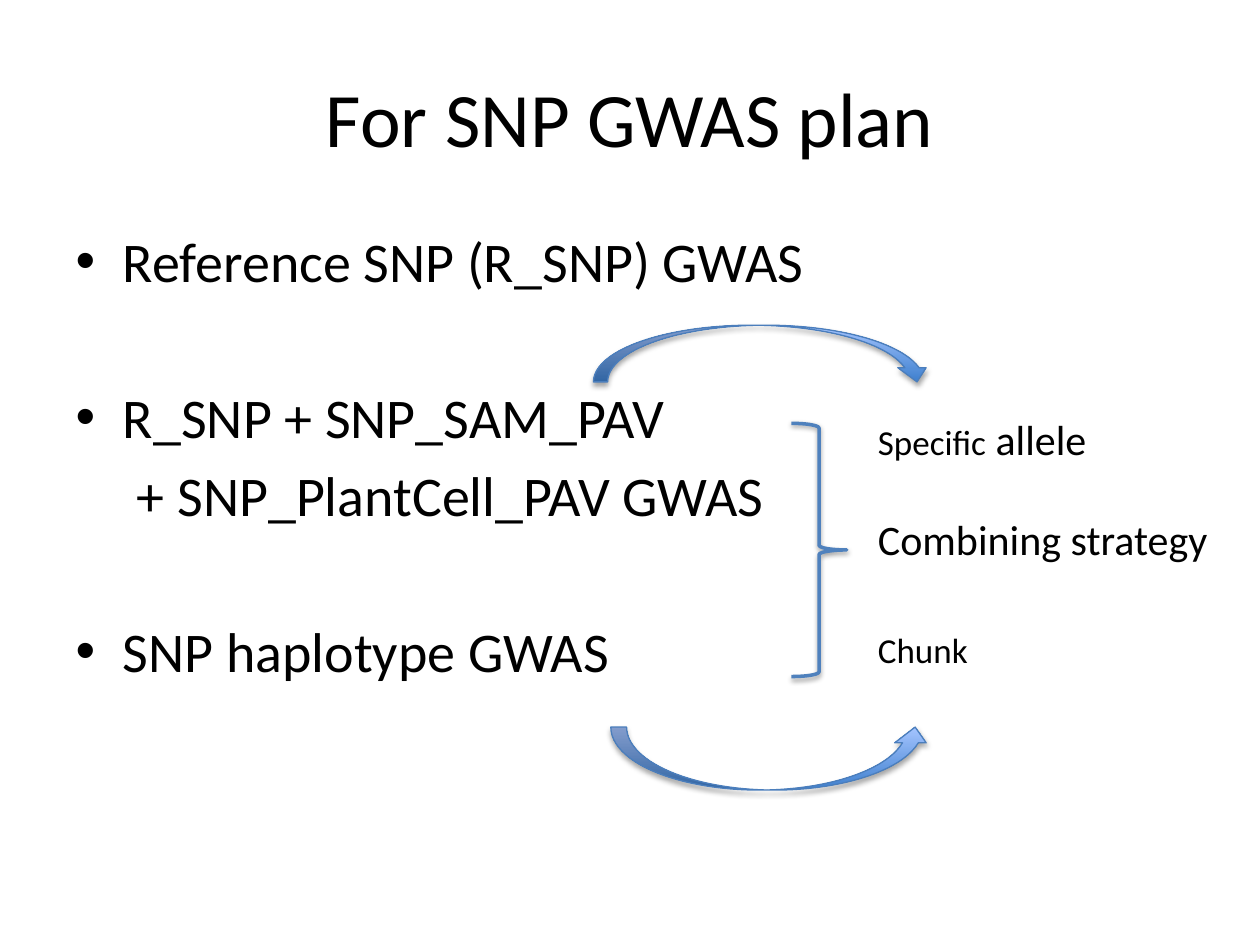
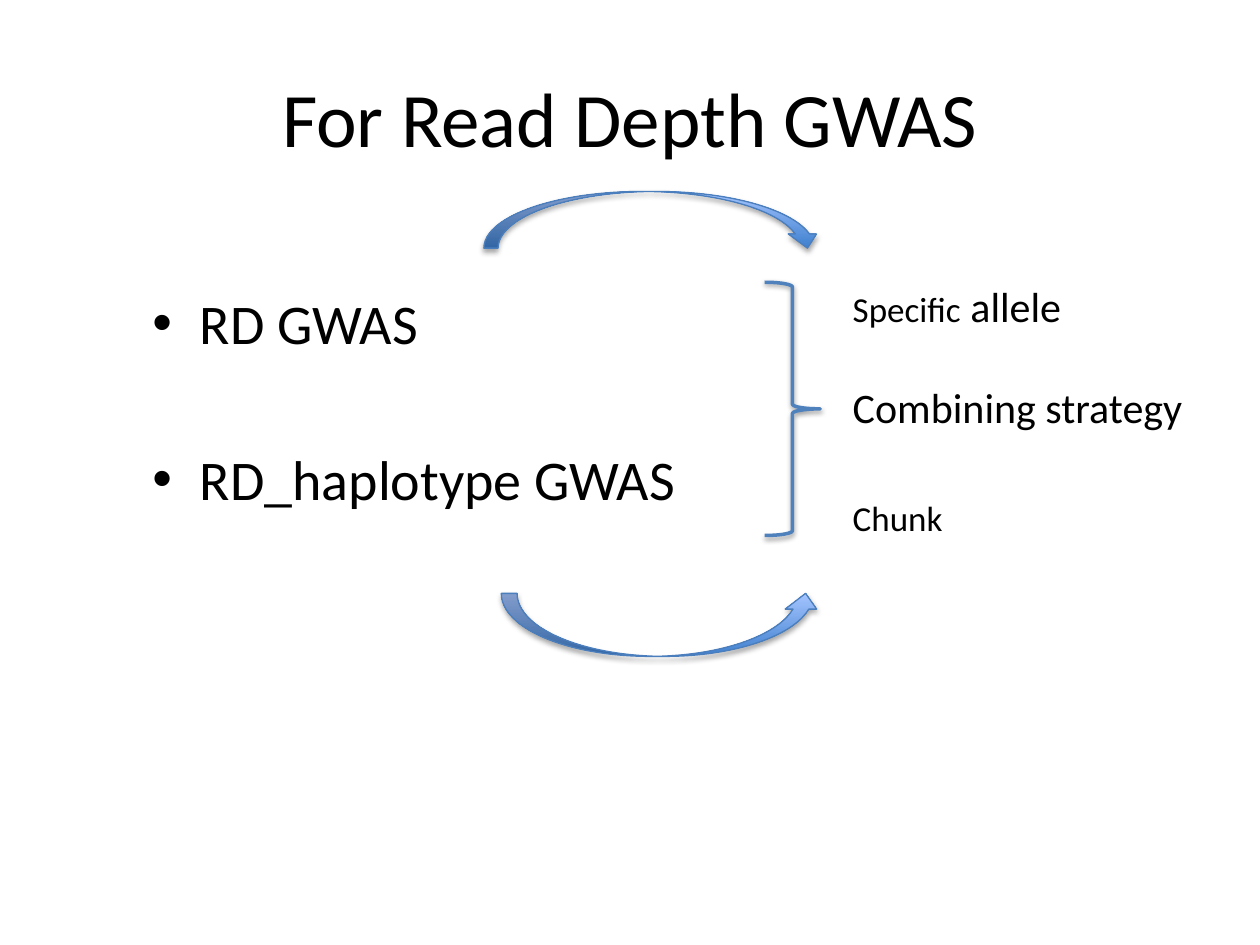
from lxml.etree import SubElement
from pptx import Presentation
from pptx.dml.color import RGBColor
from pptx.enum.shapes import MSO_SHAPE as Preset
from pptx.enum.text import MSO_ANCHOR as Anchor, PP_ALIGN as Align
from pptx.oxml.ns import qn
from pptx.util import Pt

COLORS = {
    "text": "000000",
    "brace": "4F81BD",
    "arrow_edge": "4B7EBC",
    "arrow_dark": "3F80CE",
    "arrow_light": "A4C4FF",
    "shadow": "000000",
}
FONT = "Calibri"
BULLET_INDENT = 27
GAP_BEFORE = 50.6  # space before a bullet that starts a new group


def color(name):
    return RGBColor.from_string(COLORS[name])


class Painter:
    """Holds the shared style and the slide being filled."""

    def __init__(self, deck):
        self.deck = deck
        self.page = None

    def start(self, title):
        self.page = self.deck.slides.add_slide(self.deck.slide_layouts[1])
        box = self.page.shapes.title
        self.place(box, 36, 21.6, 648, 90)
        box.text_frame.vertical_anchor = Anchor.MIDDLE
        para = box.text_frame.paragraphs[0]
        para.alignment = Align.CENTER
        self.span(para, title, 44)

    def place(self, box, left, top, width, height):
        box.left, box.top = Pt(left), Pt(top)
        box.width, box.height = Pt(width), Pt(height)

    def span(self, para, text, size):
        run = para.add_run()
        run.text = text
        run.font.name = FONT
        run.font.size = Pt(size)
        run.font.color.rgb = color("text")

    def bullets(self, area, groups):
        """Each group is a bullet followed by its unbulleted lines."""
        box = self.page.placeholders[1]
        self.place(box, *area)
        frame = box.text_frame
        for number, group in enumerate(groups):
            for line, text in enumerate(group):
                first = number == line == 0
                para = frame.paragraphs[0] if first else frame.add_paragraph()
                self.span(para, text, 32)
                props = para._p.get_or_add_pPr()
                if line:
                    props.set("marL", str(Pt(35)))
                    props.set("indent", "0")
                    SubElement(props, qn("a:buNone"))
                    continue
                if number:
                    para.space_before = Pt(GAP_BEFORE)
                props.set("marL", str(Pt(BULLET_INDENT)))
                props.set("indent", str(-Pt(BULLET_INDENT)))
                SubElement(props, qn("a:buChar"), char="•")

    def label(self, left, top, width, height, spans):
        box = self.page.shapes.add_textbox(Pt(left), Pt(top), Pt(width), Pt(height))
        box.text_frame.word_wrap = True
        for text, size in spans:
            self.span(box.text_frame.paragraphs[0], text, size)

    def outline(self, preset, area, edge, weight):
        shape = self.page.shapes.add_shape(preset, *map(Pt, area))
        shape.line.color.rgb = color(edge)
        shape.line.width = Pt(weight)
        return shape

    def shade(self, shape, distance, opacity):
        shape.shadow.inherit = False
        effects = shape._element.spPr.find(qn("a:effectLst"))
        shadow = SubElement(effects, qn("a:outerShdw"), blurRad=str(Pt(3.1)),
                            dist=str(Pt(distance)), dir="5400000", rotWithShape="0")
        tone = SubElement(shadow, qn("a:srgbClr"), val=COLORS["shadow"])
        SubElement(tone, qn("a:alpha"), val=str(opacity * 1000))

    def brace(self, left, top):
        shape = self.outline(Preset.RIGHT_BRACE, (left, top, 31.7, 144.7), "brace", 2)
        shape.fill.background()
        self.shade(shape, 1.6, 38)

    def arrow(self, preset, *area):
        shape = self.outline(preset, area, "arrow_edge", 0.75)
        shape.fill.gradient()
        shape.fill.gradient_angle = 90
        stops = zip(shape.fill.gradient_stops, ("arrow_dark", "arrow_light"), (0, 1))
        for stop, name, position in stops:
            stop.color.rgb = color(name)
            stop.position = position
        self.shade(shape, 1.8, 35)

    def strategy(self, brace, arrows, labels):
        """Brace, two curved arrows and three labels, each part at its corner."""
        self.brace(*brace)
        left, top = arrows
        self.arrow(Preset.CURVED_UP_ARROW, left + 10, top + 229.7, 182.9, 36)
        self.arrow(Preset.CURVED_DOWN_ARROW, left, top, 193, 32.4)
        left, top = labels
        self.label(left, top, 170.6, 36, [("Specific", 20), (" allele", 24)])
        self.label(left, top + 57.2, 225.4, 36, [("Combining strategy", 24)])
        self.label(left, top + 123.1, 170.6, 31.7, [("Chunk", 20)])


def main():
    deck = Presentation()
    deck.slide_width, deck.slide_height = Pt(720), Pt(540)
    painter = Painter(deck)

    # SNP plan
    painter.start("For SNP GWAS plan")
    painter.bullets((36, 126, 468, 356.4), [
        ["Reference SNP (R_SNP) GWAS"],
        ["R_SNP + SNP_SAM_PAV", "+ SNP_PlantCell_PAV GWAS"],
        ["SNP haplotype GWAS"],
    ])
    painter.strategy(brace=(452.2, 241.9), arrows=(339.1, 185.8), labels=(494.6, 232.6))

    # Read depth plan
    painter.start("For Read Depth GWAS")
    painter.bullets((79.9, 161.3, 323.3, 356.4), [["RD GWAS"], ["RD_haplotype GWAS"]])
    painter.strategy(brace=(437, 161.3), arrows=(276.5, 109.4), labels=(480.2, 157))

    deck.save("out.pptx")


if __name__ == "__main__":
    main()
